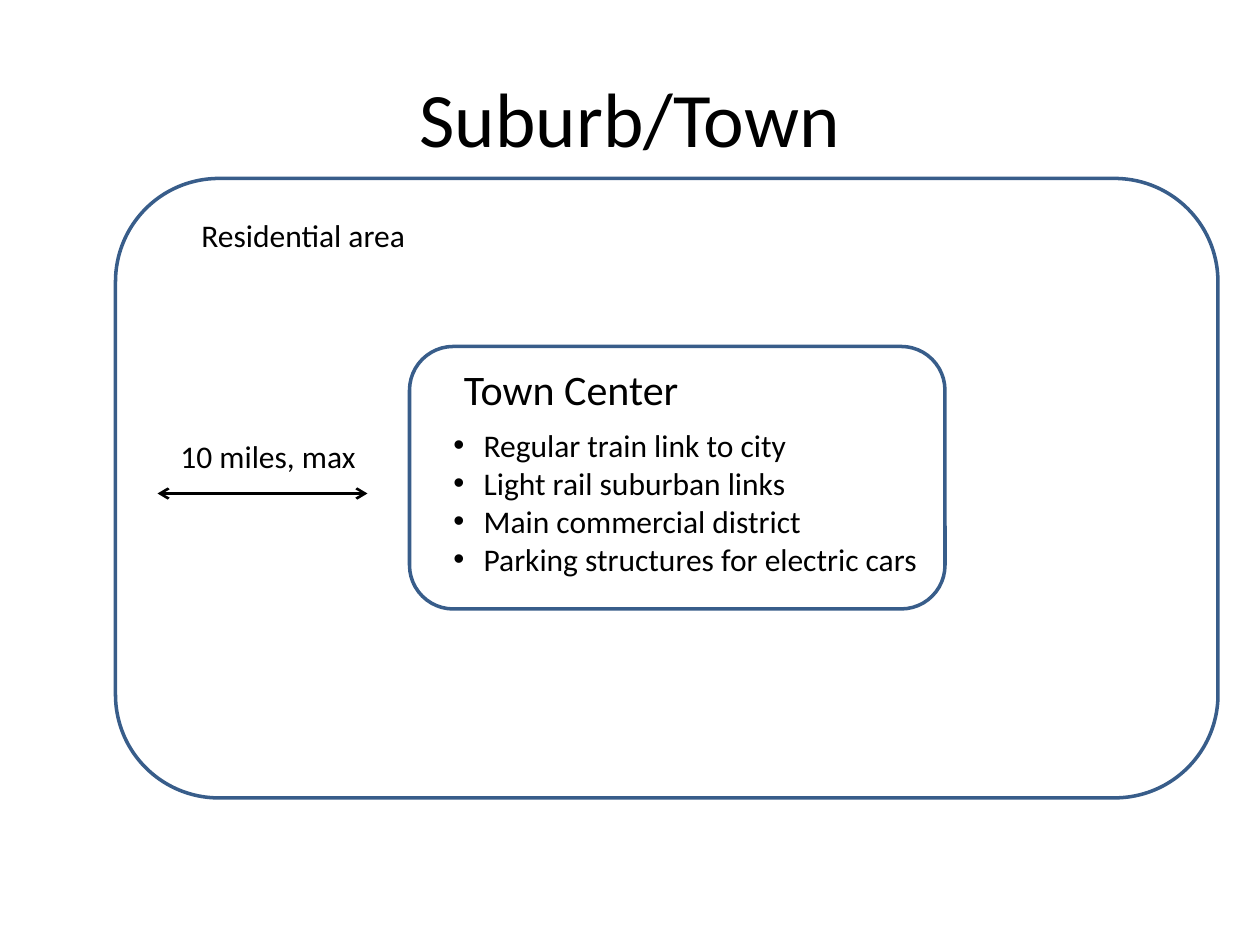
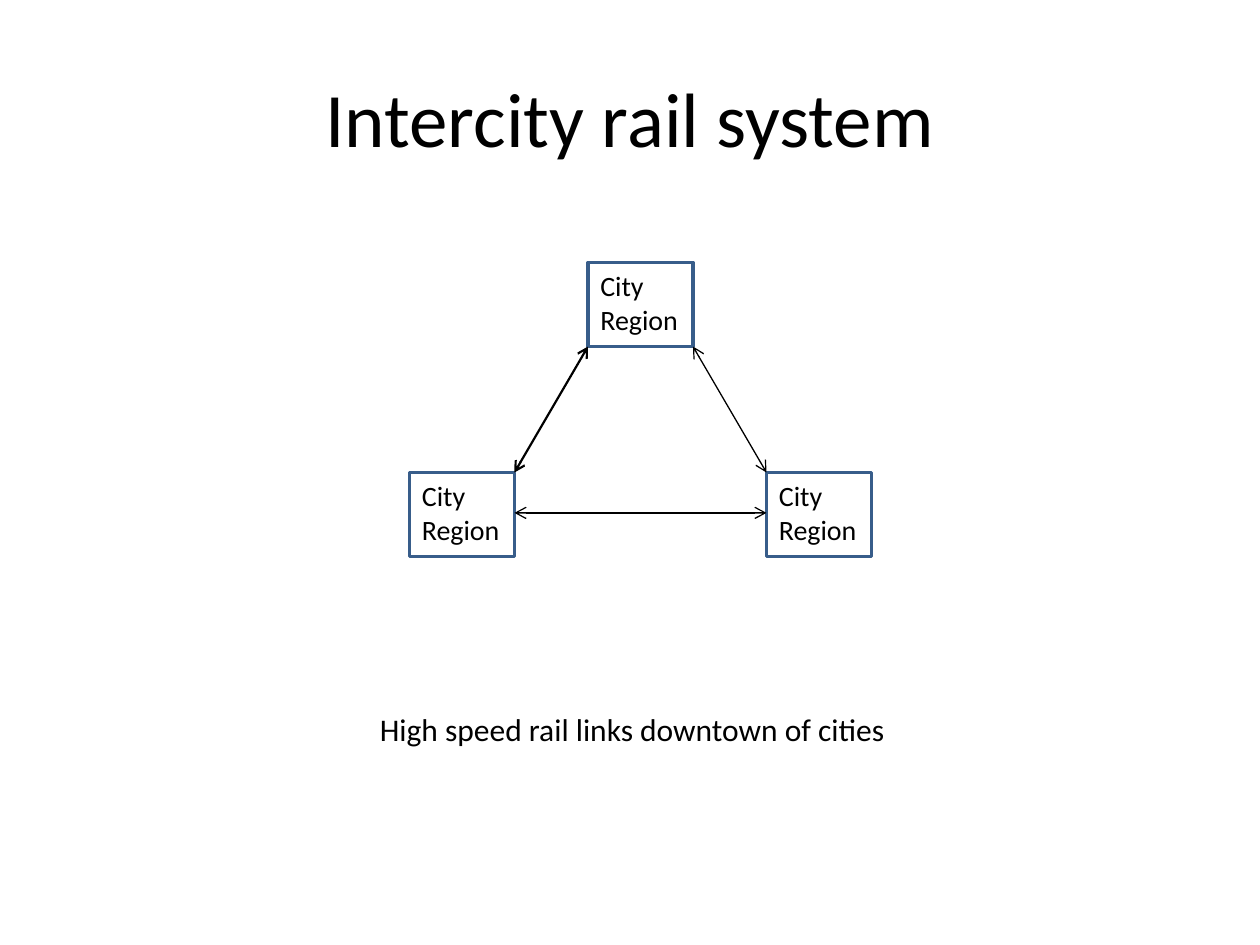
from dataclasses import dataclass

import pptx
import pptx.dml.color
import pptx.enum.shapes
import pptx.enum.text
import pptx.oxml.ns
import pptx.util
from lxml import etree

SHAPES = pptx.enum.shapes.MSO_SHAPE
ALIGN = pptx.enum.text.PP_ALIGN
ANCHOR = pptx.enum.text.MSO_ANCHOR
qn = pptx.oxml.ns.qn


@dataclass(frozen=True)
class Theme:
    """Colours, font, type sizes and line widths shared by the slides."""
    font: str = "Calibri"
    ink: str = "000000"
    outline: str = "385D8A"
    title: int = 44
    heading: int = 24
    body: int = 18
    city: int = 16
    outline_width: float = 2
    bullet_indent: float = 0.24


THEME = Theme()


def grid(*cells):
    """Turn grid cells, twelve to the inch, into lengths."""
    return [pptx.util.Inches(cell / 12) for cell in cells]


def rgb(value):
    """Turn a hex string into a colour."""
    return pptx.dml.color.RGBColor.from_string(value)


def add_bullet(paragraph):
    """Give a paragraph a hanging round bullet."""
    properties = paragraph._p.get_or_add_pPr()
    indent = pptx.util.Inches(THEME.bullet_indent)
    properties.set("marL", str(indent))
    properties.set("indent", str(-indent))
    etree.SubElement(properties, qn("a:buFont"), typeface="Arial")
    etree.SubElement(properties, qn("a:buChar"), char="•")


def write(frame, lines, size, align=ALIGN.LEFT, anchor=ANCHOR.TOP, bullets=False):
    """Fill a text frame with one paragraph per line."""
    frame.word_wrap = True
    frame.vertical_anchor = anchor
    for index, line in enumerate(lines):
        paragraph = frame.add_paragraph() if index else frame.paragraphs[0]
        paragraph.text = line
        paragraph.alignment = align
        if bullets:
            add_bullet(paragraph)
        paragraph.font.name = THEME.font
        paragraph.font.size = pptx.util.Pt(size)
        paragraph.font.color.rgb = rgb(THEME.ink)


def add_label(slide, cells, lines, size=THEME.body, **style):
    """Place a text box on the grid."""
    label = slide.shapes.add_textbox(*grid(*cells))
    write(label.text_frame, lines, size, **style)


def add_outline(slide, kind, cells):
    """Place an unfilled outlined shape on the grid."""
    outline = slide.shapes.add_shape(kind, *grid(*cells))
    outline.shadow.inherit = False
    outline.fill.background()
    outline.line.color.rgb = rgb(THEME.outline)
    outline.line.width = pptx.util.Pt(THEME.outline_width)
    return outline


def add_double_arrow(slide, start, end, width):
    """Join two grid points with a line that has open arrowheads at both ends."""
    arrow = slide.shapes.add_connector(
        pptx.enum.shapes.MSO_CONNECTOR.STRAIGHT, *grid(*start, *end))
    arrow.line.color.rgb = rgb(THEME.ink)
    arrow.line.width = pptx.util.Pt(width)
    line = arrow.line._get_or_add_ln()
    for tip in ("a:headEnd", "a:tailEnd"):
        etree.SubElement(line, qn(tip), type="arrow")
    etree.SubElement(arrow._element.spPr, qn("a:effectLst"))


def add_titled_slide(deck, title):
    """Add a blank slide with the shared title."""
    slide = deck.slides.add_slide(deck.slide_layouts[6])
    add_label(slide, (6, 3.6, 108, 15), [title], THEME.title,
              align=ALIGN.CENTER, anchor=ANCHOR.MIDDLE)
    return slide


def build_town(deck):
    """Show the town center inside its residential area."""
    slide = add_titled_slide(deck, "Suburb/Town")
    residential_area, town_center = (11, 17, 105, 59), (39, 33, 51, 25)
    for area in (residential_area, town_center):
        add_outline(slide, SHAPES.ROUNDED_RECTANGLE, area)
    add_label(slide, (18, 20, 26, 4.8), ["Residential area"])
    add_label(slide, (43, 34, 32, 6), ["Town Center"], THEME.heading)
    add_label(slide, (42, 40, 47, 19), [
        "Regular train link to city",
        "Light rail suburban links",
        "Main commercial district",
        "Parking structures for electric cars",
    ], bullets=True)
    add_label(slide, (16, 41, 21, 4.8), ["10 miles, max"])
    add_double_arrow(slide, (15, 47), (35, 47), 1.5)


def build_rail(deck):
    """Show three city regions joined by rail links."""
    slide = add_titled_slide(deck, "Intercity rail system")
    width, height = 10, 8
    top, left, right = (56, 25), (39, 45), (73, 45)
    for corner in (top, left, right):
        region = add_outline(slide, SHAPES.RECTANGLE, (*corner, width, height))
        region.text_frame.margin_right = 0
        write(region.text_frame, ["City", "Region"], THEME.city)
    top_base = top[1] + height
    left_edge = left[0] + width
    link_row = left[1] + height / 2 - 0.15
    add_double_arrow(slide, (top[0], top_base), (left_edge, left[1]), 1.25)
    add_double_arrow(slide, (top[0] + width, top_base), right, 0.75)
    add_double_arrow(slide, (left_edge, link_row), (right[0], link_row), 0.75)
    add_label(slide, (35, 67, 56, 4.8), ["High speed rail links downtown of cities"])


def main():
    """Build and save the deck."""
    deck = pptx.Presentation()
    deck.slide_width, deck.slide_height = grid(120, 90)
    build_town(deck)
    build_rail(deck)
    deck.save("out.pptx")


if __name__ == "__main__":
    main()
